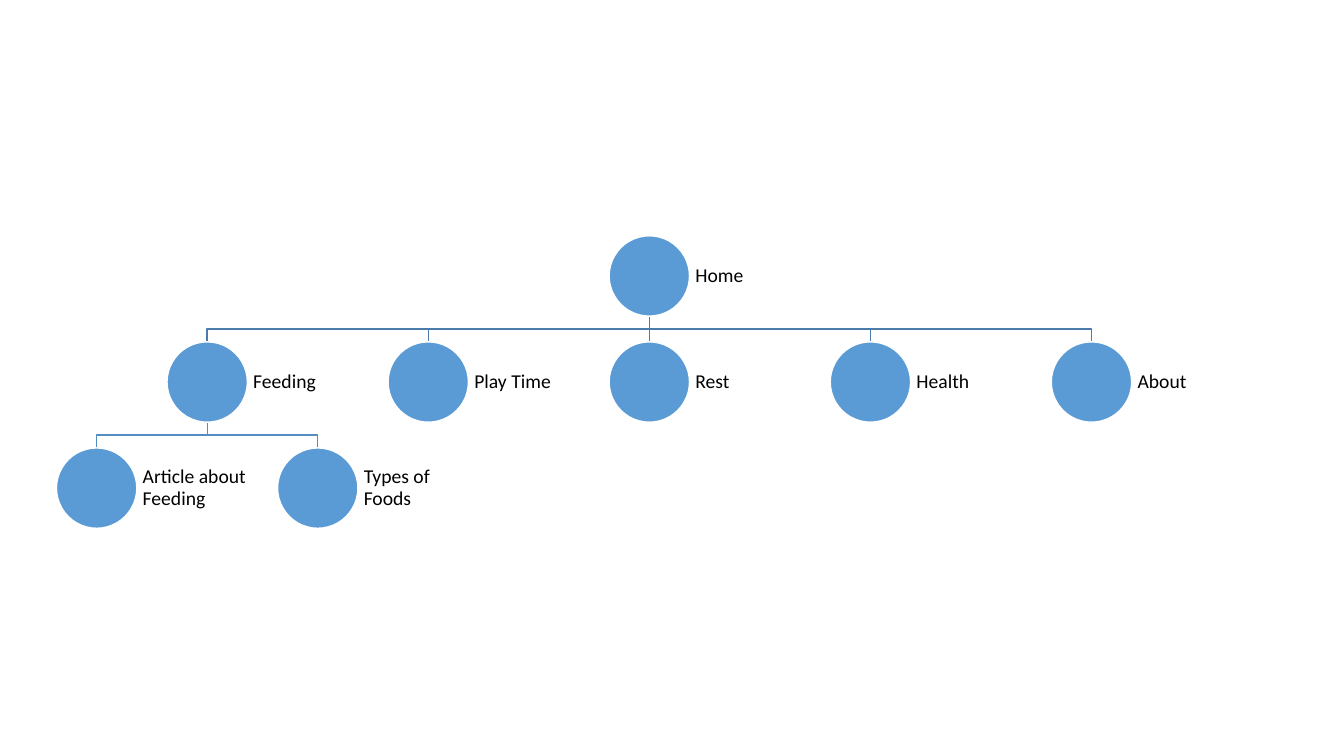
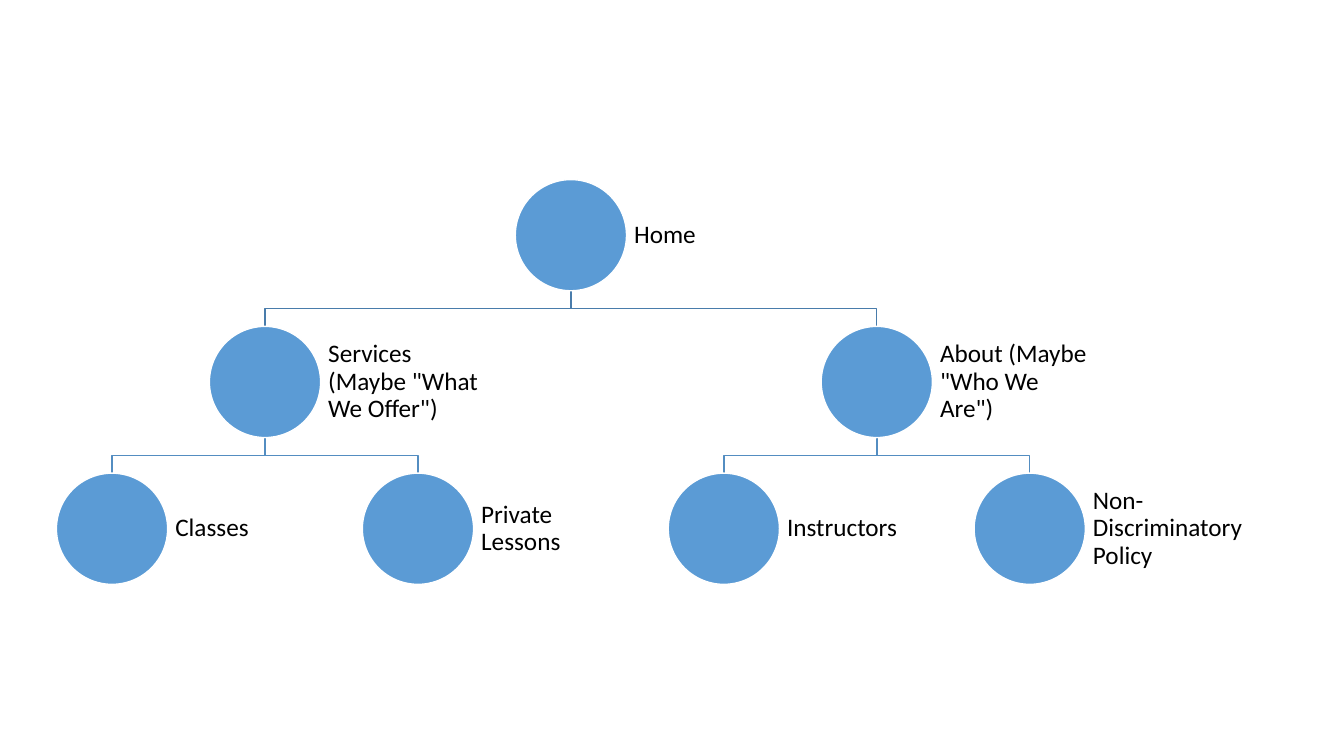
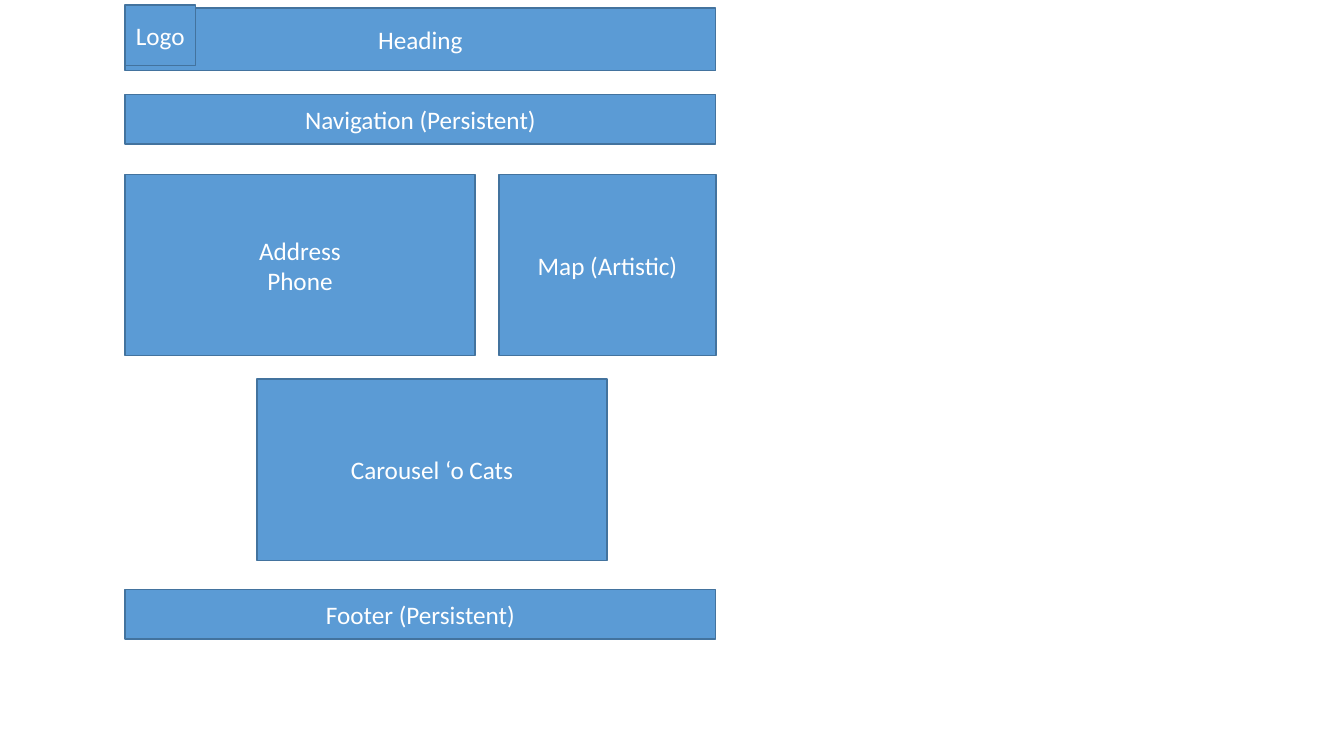
from dataclasses import dataclass

from pptx import Presentation
from pptx.dml.color import RGBColor
from pptx.enum.shapes import MSO_CONNECTOR, MSO_SHAPE
from pptx.enum.text import MSO_ANCHOR, PP_ALIGN
from pptx.oxml.ns import qn
from pptx.util import Inches, Pt

BLUE = RGBColor(0x5B, 0x9B, 0xD5)
BORDER = RGBColor(0x43, 0x73, 0x9E)
LINKS = (RGBColor(0x49, 0x7C, 0xAB), RGBColor(0x53, 0x8D, 0xC1))
WHITE = RGBColor(0xFF, 0xFF, 0xFF)
BLACK = RGBColor(0, 0, 0)
FONT = "Calibri"

TREE_LEFT, TREE_WIDTH, TREE_MIDDLE = 0.56, 11.86, 3.79
COLUMN_STEP, ROW_STEP, LABEL_WIDTH = 2.75, 1.32, 1.5

PAGE_LEFT, PAGE_WIDTH = 1.24, 5.86
PANEL_WIDTH, PANEL_HEIGHT, BAR_HEIGHT = 3.47, 1.8, 0.49


@dataclass
class Node:
    """A page of a site map, placed by column."""
    column: float
    label: str
    children: tuple = ()


def write(shape, text, size, color, align):
    """Write one paragraph per line, centred vertically."""
    tf = shape.text_frame
    tf.word_wrap = True
    tf.vertical_anchor = MSO_ANCHOR.MIDDLE
    tf.text = text
    for p in tf.paragraphs:
        p.alignment = align
        p.font.name = FONT
        p.font.size = Pt(size)
        p.font.color.rgb = color
    return tf


def add_blue_shape(s, kind, box, border):
    """Add a flat blue shape with a thin border."""
    shape = s.shapes.add_shape(kind, *map(Inches, box))
    shape.shadow.inherit = False
    shape.fill.solid()
    shape.fill.fore_color.rgb = BLUE
    shape.line.color.rgb = border
    shape.line.width = Pt(1)
    return shape


def add_link(s, start, end, color):
    """Join two points with a straight line or a bent one."""
    (x1, y1), (x2, y2) = [tuple(map(Inches, point)) for point in (start, end)]
    if x1 == x2:
        link = s.shapes.add_connector(MSO_CONNECTOR.STRAIGHT, x1, y1, x2, y2)
        link._element.spPr.append(link._element.spPr.makeelement(qn("a:effectLst"), {}))
    else:
        bend = (y1 + y2) // 2
        outline = s.shapes.build_freeform(x1, y1)
        outline.add_line_segments([(x1, bend), (x2, bend), (x2, y2)], close=False)
        link = outline.convert_to_shape()
        link.fill.background()
        link.shadow.inherit = False
    link.line.color.rgb = color
    link.line.width = Pt(1)


def walk(node, depth=0):
    """Yield each node with its depth, parents first."""
    yield node, depth
    for child in node.children:
        yield from walk(child, depth + 1)


def add_tree(s, root, size):
    """Draw a site map scaled to the shared width."""
    nodes = list(walk(root))
    columns = max(node.column for node, _ in nodes)
    rows = max(depth for _, depth in nodes)
    d = TREE_WIDTH / (columns * COLUMN_STEP + 1 + LABEL_WIDTH)
    top = TREE_MIDDLE - (rows * ROW_STEP + 1) * d / 2

    def corner(node, depth):
        """Return the left and top of a node's circle."""
        return TREE_LEFT + node.column * COLUMN_STEP * d, top + depth * ROW_STEP * d

    for node, depth in nodes:
        x, y = corner(node, depth)
        for child in node.children:
            child_x, child_y = corner(child, depth + 1)
            add_link(s, (x + d / 2, y + d), (child_x + d / 2, child_y), LINKS[depth])
    for node, depth in nodes:
        x, y = corner(node, depth)
        add_blue_shape(s, MSO_SHAPE.OVAL, (x, y, d, d), WHITE)
        label = s.shapes.add_textbox(*map(Inches, (x + d, y, LABEL_WIDTH * d, d)))
        tf = write(label, node.label, size, BLACK, PP_ALIGN.LEFT)
        tf.paragraphs[0].line_spacing = 0.9
        tf.margin_left = tf.margin_right = Pt(0.3 * size)
        tf.margin_top = tf.margin_bottom = Pt(0.3 * size)


def add_block(s, text, left, top, width, height):
    """Add a labelled block of a page wireframe."""
    shape = add_blue_shape(s, MSO_SHAPE.RECTANGLE, (left, top, width, height), BORDER)
    write(shape, text, 18, WHITE, PP_ALIGN.CENTER)


def add_wireframe(s):
    """Draw the blocks of the home page."""
    map_width = 2.15
    map_left = PAGE_LEFT + PAGE_WIDTH - map_width
    add_block(s, "Address\nPhone", PAGE_LEFT, 1.73, PANEL_WIDTH, PANEL_HEIGHT)
    add_block(s, "Map (Artistic)", map_left, 1.73, map_width, PANEL_HEIGHT)
    add_block(s, "Carousel ‘o Cats", 2.55, 3.76, PANEL_WIDTH, PANEL_HEIGHT)
    add_block(s, "Navigation (Persistent)", PAGE_LEFT, 0.94, PAGE_WIDTH, BAR_HEIGHT)
    add_block(s, "Footer (Persistent)", PAGE_LEFT, 5.85, PAGE_WIDTH, BAR_HEIGHT)
    add_block(s, "Heading", PAGE_LEFT, 0.08, PAGE_WIDTH, 0.62)
    add_block(s, "Logo", PAGE_LEFT, 0.05, 0.7, 0.6)


def main():
    """Build the two site maps and the wireframe."""
    prs = Presentation()
    prs.slide_width, prs.slide_height = Inches(13.33), Inches(7.5)
    blank = prs.slide_layouts[6]

    pet_site = Node(2.5, "Home", (
        Node(0.5, "Feeding", (Node(0, "Article about Feeding"), Node(1, "Types of Foods"))),
        Node(1.5, "Play Time"),
        Node(2.5, "Rest"),
        Node(3.5, "Health"),
        Node(4.5, "About"),
    ))
    lesson_site = Node(1.5, "Home", (
        Node(0.5, 'Services (Maybe "What We Offer")',
             (Node(0, "Classes"), Node(1, "Private Lessons"))),
        Node(2.5, 'About (Maybe "Who We Are")',
             (Node(2, "Instructors"), Node(3, "Non-Discriminatory Policy"))),
    ))
    add_tree(prs.slides.add_slide(blank), pet_site, 14)
    add_tree(prs.slides.add_slide(blank), lesson_site, 18)
    add_wireframe(prs.slides.add_slide(blank))
    prs.save("out.pptx")


main()
